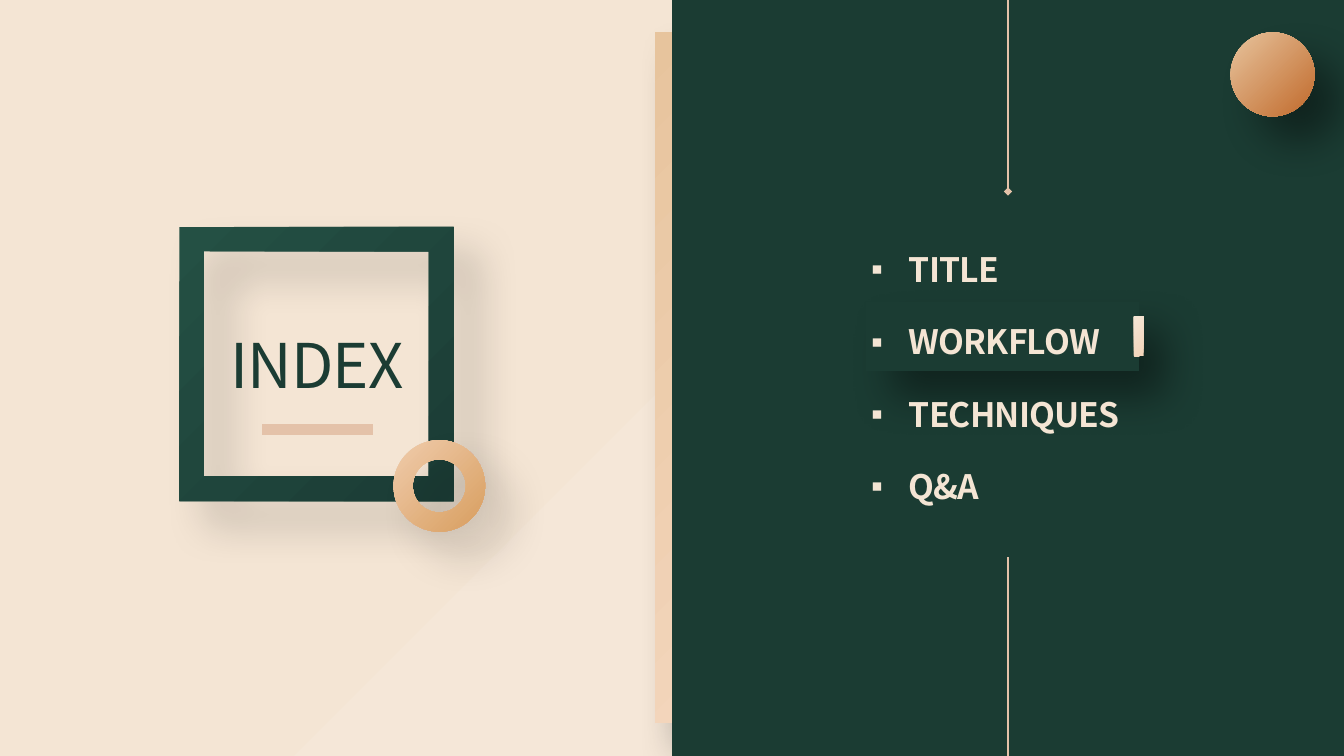
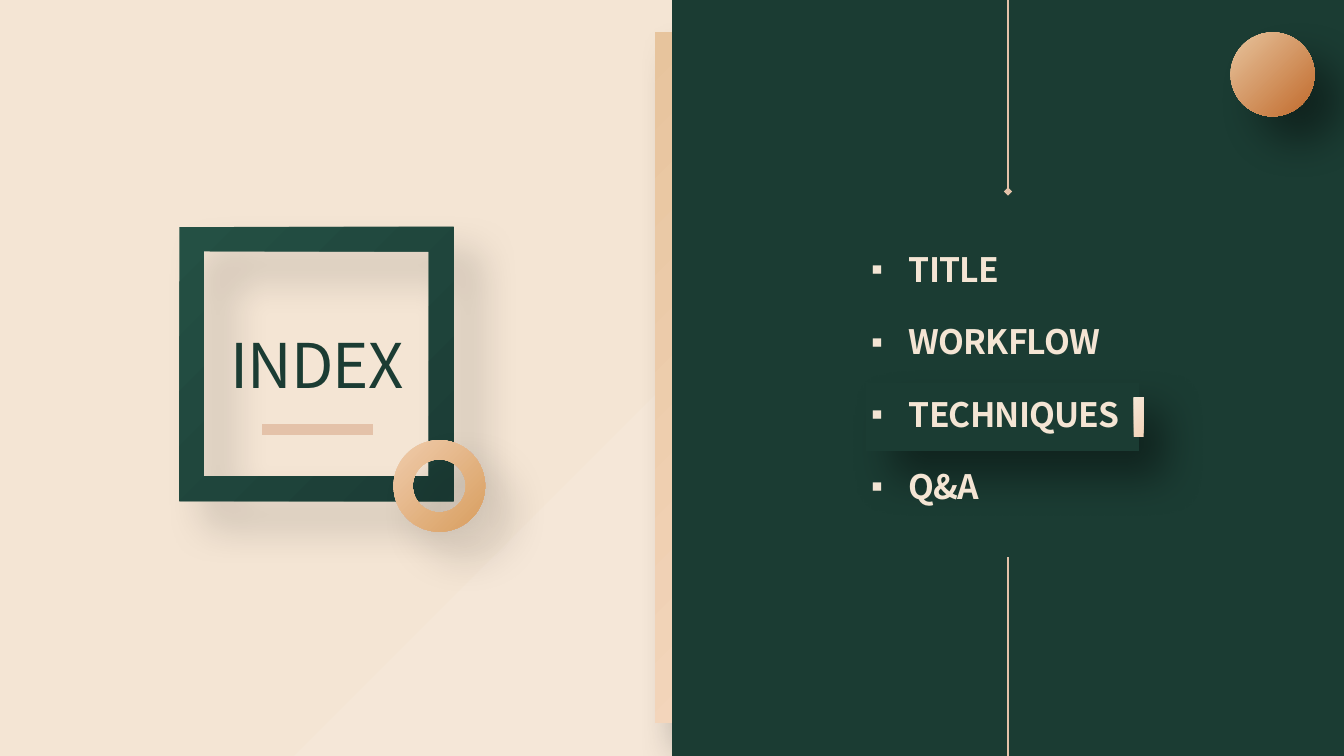
from dataclasses import dataclass

import lxml.etree
import pptx
import pptx.dml.color
import pptx.enum.shapes
import pptx.enum.text
import pptx.oxml.ns
import pptx.util

SHAPE = pptx.enum.shapes.MSO_SHAPE
MIDDLE = pptx.enum.text.MSO_ANCHOR.MIDDLE
NO_FIT = pptx.enum.text.MSO_AUTO_SIZE.NONE
CENTER = pptx.enum.text.PP_ALIGN.CENTER
qn = pptx.oxml.ns.qn
COLS, ROWS, UNIT = 32, 18, 30
ITEMS = ("TITLE", "WORKFLOW", "TECHNIQUES", "Q&A")
ITEM_PITCH = 1.92
TO_CORNER = {"l": "100000", "t": "100000"}
FROM_CORNER = {"r": "100000", "b": "100000"}


@dataclass(frozen=True)
class Theme:
    """Colours, gradients and type sizes of the deck."""

    font: str = "Noto Sans CJK KR"
    title_size: int = 44
    item_size: int = 24
    item_gap: float = 22.8
    spacing: str = "-60"
    dark: str = "1B3C33"
    cream: str = "F4E5D4"
    rule: str = "E4C2A9"
    paper: tuple = ("F5E7D8", "F4E5D4")
    panel: tuple = ("1B3C35", "1B3C33")
    highlight: tuple = ("1B3C33", "1B3C35")
    strip: tuple = ("E7C49D", "F3D5BB")
    frame: tuple = ("245044", "1B3C35")
    ring: tuple = ("F0CCAC", "D89E5F")
    ball: tuple = ("E7C49D", "C16A2C")
    tab: tuple = ("F4E5D4", "F3D5BB")


def grid(n):
    """Return a length of n grid units."""
    return pptx.util.Pt(n * UNIT)


def rgb(code):
    """Return a colour from its hexadecimal code."""
    return pptx.dml.color.RGBColor.from_string(code)


def add_xml(parent, tag, **attrs):
    """Append a drawing element with attributes."""
    return lxml.etree.SubElement(parent, qn(tag), attrs)


class Deck:
    """Holds the style and the current slide."""

    def __init__(self, theme):
        self.theme = theme
        self.prs = pptx.Presentation()
        self.prs.slide_width, self.prs.slide_height = grid(COLS), grid(ROWS)

    def gradient(self, fill, owner, colors, corner=None):
        """Fill with a diagonal gradient, or a circular one towards a corner."""
        fill.gradient()
        for stop, color in zip(fill.gradient_stops, colors):
            stop.color.rgb = rgb(color)
        fill.gradient_angle = 315
        if corner:
            grad = owner.find(".//" + qn("a:gradFill"))
            grad.remove(grad.find(qn("a:lin")))
            add_xml(add_xml(grad, "a:path", path="circle"), "a:fillToRect", **corner)

    def slide(self):
        """Start a slide on the paper background."""
        self.s = self.prs.slides.add_slide(self.prs.slide_layouts[1])
        self.gradient(self.s.background.fill, self.s.element, self.theme.paper, TO_CORNER)

    def shape(self, kind, x, y, w, h, colors, shadow=0, corner=None, adj=None):
        """Add a gradient shape with an optional shadow of given opacity."""
        sp = self.s.shapes.add_shape(kind, grid(x), grid(y), grid(w), grid(h))
        self.gradient(sp.fill, sp.element, colors, corner)
        sp.line.fill.background()
        sp.shadow.inherit = False
        if adj:
            sp.adjustments[0] = adj
        if shadow:
            effects = sp.element.spPr.find(qn("a:effectLst"))
            outer = add_xml(effects, "a:outerShdw", blurRad=str(pptx.util.Pt(30)),
                            dist=str(pptx.util.Pt(26)), dir="2700000",
                            algn="tl", rotWithShape="0")
            color = add_xml(outer, "a:srgbClr", val="000000")
            add_xml(color, "a:alpha", val=str(shadow * 1000))

    def line(self, x1, y1, x2, y2, width=0.75, end=None):
        """Add a straight rule with an optional end mark."""
        sp = self.s.shapes.add_connector(pptx.enum.shapes.MSO_CONNECTOR.STRAIGHT,
                                         grid(x1), grid(y1), grid(x2), grid(y2))
        sp.line.color.rgb = rgb(self.theme.rule)
        sp.line.width = pptx.util.Pt(width)
        spPr = sp.element.spPr
        if end:
            add_xml(spPr.find(qn("a:ln")), "a:tailEnd", type=end)
        add_xml(spPr, "a:effectLst")

    def placeholder(self, idx, x, y, w, h):
        """Place a template placeholder in front and return its text frame."""
        sp = self.s.placeholders[idx]
        sp.left, sp.top, sp.width, sp.height = grid(x), grid(y), grid(w), grid(h)
        self.s.shapes.element.append(sp.element)
        tf = sp.text_frame
        tf.word_wrap, tf.auto_size, tf.vertical_anchor = True, NO_FIT, MIDDLE
        return tf

    def style(self, p, size, color, bold=False):
        """Set the font of a paragraph."""
        p.font.name, p.font.size, p.font.bold = self.theme.font, pptx.util.Pt(size), bold
        p.font.color.rgb = rgb(color)
        props = p._p.pPr.find(qn("a:defRPr"))
        props.set("spc", self.theme.spacing)

    def title(self, text, *box):
        """Write the centred title."""
        tf = self.placeholder(0, *box)
        tf.margin_left = tf.margin_right = tf.margin_top = tf.margin_bottom = 0
        p = tf.paragraphs[0]
        p.text, p.alignment, p.line_spacing = text, CENTER, 1.2
        self.style(p, self.theme.title_size, self.theme.dark)

    def items(self, texts, *box):
        """Write the bulleted list."""
        tf = self.placeholder(1, *box)
        for i, text in enumerate(texts):
            p = tf.add_paragraph() if i else tf.paragraphs[0]
            p.text = text
            p.space_before = pptx.util.Pt(self.theme.item_gap if i else 0)
            pPr = p._p.get_or_add_pPr()
            pPr.set("marL", str(grid(0.9)))
            pPr.set("indent", str(-grid(0.9)))
            add_xml(pPr, "a:buFont", typeface="Arial")
            add_xml(pPr, "a:buChar", char="▪")
            self.style(p, self.theme.item_size, self.theme.cream, True)

    def index(self, current):
        """Build an index slide with one item highlighted."""
        t = self.theme
        top = 7.2 + ITEM_PITCH * (current - 1)
        self.slide()
        self.shape(SHAPE.RECTANGLE, 15.6, 0.77, 0.89, 16.44, t.strip, 40)
        self.shape(SHAPE.RECTANGLE, COLS / 2, 0, COLS / 2, ROWS, t.panel, corner=TO_CORNER)
        self.shape(SHAPE.FRAME, 4.27, 5.4, 6.53, 6.53, t.frame, 17, adj=0.09)
        self.shape(SHAPE.DONUT, 9.37, 10.48, 2.18, 2.18, t.ring, 17, adj=0.21)
        self.shape(SHAPE.RECTANGLE, 20.62, top, 6.5, 1.63, t.highlight, 40)
        self.shape(SHAPE.RECTANGLE, 27, top + 0.34, 0.23, 0.94, t.tab, corner=FROM_CORNER)
        self.items(ITEMS, 20.5, 0.77, 7.22, 16.44)
        self.title("INDEX", 4.27, 7.75, 6.55, 1.49)
        self.shape(SHAPE.OVAL, 29.3, 0.77, 2, 2, t.ball, 40)
        self.line(24, 0, 24, 4.56, end="diamond")
        self.line(24, 13.27, 24, ROWS)
        self.line(6.24, 10.22, 8.88, 10.22, 8)


def main():
    """Build and save the index slides."""
    deck = Deck(Theme())
    for name in ("WORKFLOW", "TECHNIQUES"):
        deck.index(ITEMS.index(name))
    deck.prs.save("out.pptx")


if __name__ == "__main__":
    main()
